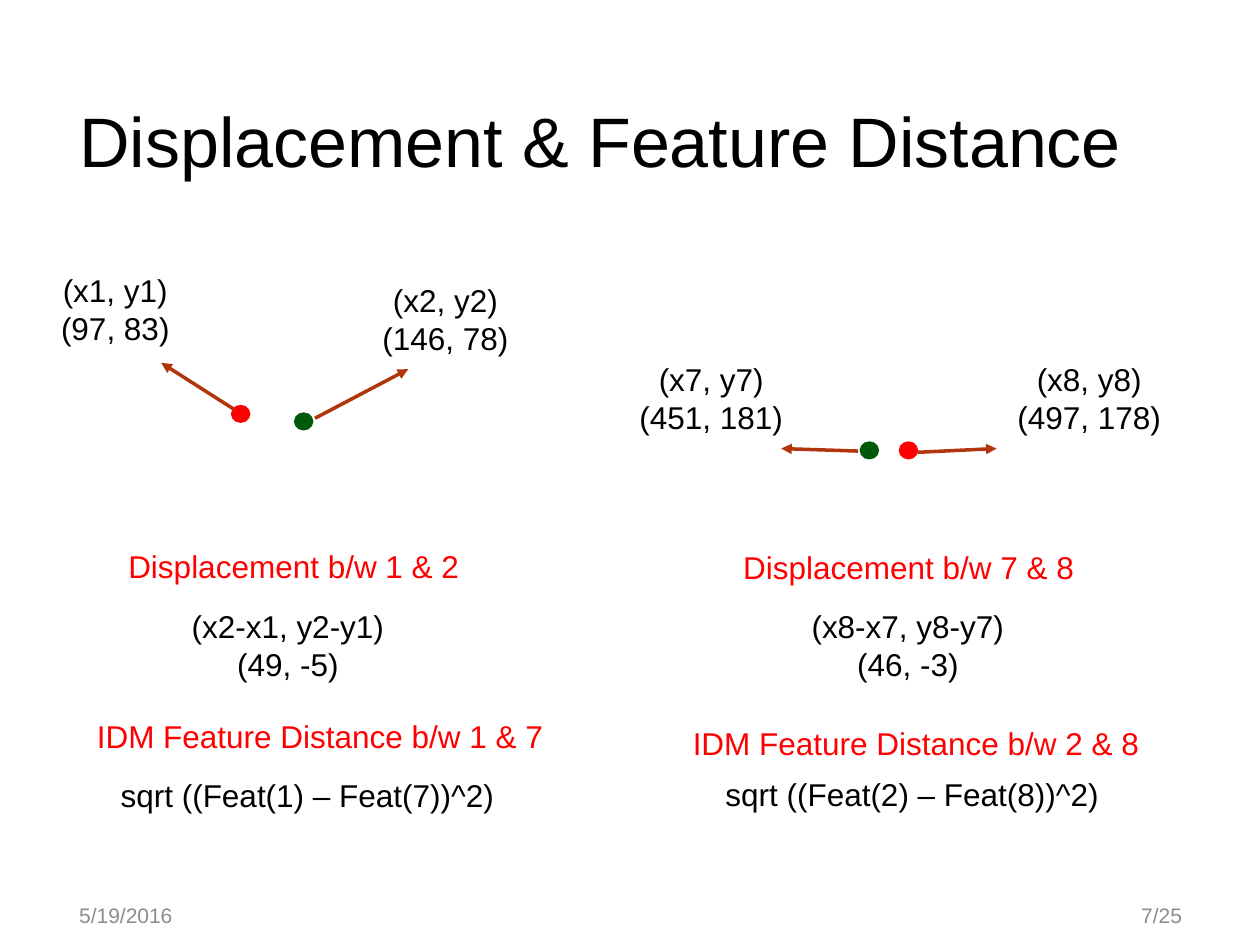
from lxml import etree
from pptx import Presentation
from pptx.dml.color import RGBColor
from pptx.enum.shapes import MSO_CONNECTOR, MSO_SHAPE
from pptx.enum.text import MSO_ANCHOR, MSO_AUTO_SIZE, PP_ALIGN
from pptx.oxml.ns import qn
from pptx.util import Pt

LEFT, CENTER, RIGHT = PP_ALIGN.LEFT, PP_ALIGN.CENTER, PP_ALIGN.RIGHT
TOP, MIDDLE, BOTTOM = MSO_ANCHOR.TOP, MSO_ANCHOR.MIDDLE, MSO_ANCHOR.BOTTOM
GROW, FIXED = MSO_AUTO_SIZE.SHAPE_TO_FIT_TEXT, MSO_AUTO_SIZE.NONE
ELLIPSE, STRAIGHT = MSO_SHAPE.OVAL, MSO_CONNECTOR.STRAIGHT

EMU_PER_PX = 9144
COLORS = {"black": "000000", "red": "FF0000", "green": "00580A",
          "arrow": "B1360B", "gray": "8C8C8C"}
ONE_LINE, TWO_LINES = 40, 71


def px(*lengths):
    """Turn px lengths into EMU."""
    return [length * EMU_PER_PX for length in lengths]


def color(name):
    """Look up a named colour."""
    return RGBColor.from_string(COLORS[name])


def add_text(slide, box, lines, size=18, ink="black", align=CENTER, **frame_format):
    """Write lines of text into a box."""
    frame = slide.shapes.add_textbox(*px(*box)).text_frame
    settings = {"word_wrap": True, "auto_size": GROW, "vertical_anchor": TOP}
    for name, value in {**settings, **frame_format}.items():
        setattr(frame, name, value)
    frame.text = "\n".join(lines)
    for paragraph in frame.paragraphs:
        paragraph.alignment = align
        for name, value in {"name": "Arial", "size": Pt(size)}.items():
            setattr(paragraph.font, name, value)
        paragraph.font.color.rgb = color(ink)


def add_point(slide, left, top, ink):
    """Draw one feature point."""
    point = slide.shapes.add_shape(ELLIPSE, *px(left, top, 14, 13))
    point.shadow.inherit = False
    point.fill.solid()
    point.fill.fore_color.rgb = color(ink)
    point.line.color.rgb = color(ink)
    point.line.width = Pt(1)


def add_arrow(slide, *ends):
    """Draw an arrow from a point towards its label."""
    arrow = slide.shapes.add_connector(STRAIGHT, *px(*ends))
    arrow.line.color.rgb = color("arrow")
    arrow.line.width = Pt(2)
    etree.SubElement(arrow.line._get_or_add_ln(), qn("a:tailEnd"), type="triangle")
    etree.SubElement(arrow._element.spPr, qn("a:effectLst"))


def add_point_pair(slide, origin, features):
    """Draw two feature points with their arrows and coordinate labels."""
    x, y = origin
    for feature in features:
        left, top = feature["point"]
        add_point(slide, x + left, y + top, feature["ink"])
    for feature in features:
        x1, y1, x2, y2 = feature["arrow"]
        add_arrow(slide, x + x1, y + y1, x + x2, y + y2)
        left, top, width = feature["label"]
        add_text(slide, (x + left, y + top, width, TWO_LINES), feature["lines"])


def add_distances(slide, origin, entries):
    """Write a column of red headings and the formulas below them."""
    x, y = origin
    for (left, top, width), lines, is_heading in entries:
        height = TWO_LINES if len(lines) == 2 else ONE_LINE
        style = {"ink": "red", "align": LEFT} if is_heading else {}
        add_text(slide, (x + left, y + top, width, height), lines, **style)


def add_title(slide, box):
    """Write the slide title."""
    add_text(slide, box, ["Displacement & Feature Distance"], 40, align=LEFT,
             auto_size=FIXED, vertical_anchor=BOTTOM, margin_bottom=px(10)[0])


def add_footer(slide, box):
    """Write the date and the page number at the two ends of the footer."""
    left, top, width, height = box
    field = 225
    for x, words, align in ((left, "5/19/2016", LEFT),
                            (left + width - field, "7/25", RIGHT)):
        add_text(slide, (x, top, field, height), [words], 12, "gray", align,
                 auto_size=FIXED, vertical_anchor=MIDDLE)


PAIR_1_2 = [
    {"point": (148, 112), "ink": "red", "arrow": (150, 115, 92, 78),
     "label": (0, 0, 111), "lines": ["(x1, y1)", "(97, 83)"]},
    {"point": (198, 118), "ink": "green", "arrow": (214, 122, 288, 83),
     "label": (251, 8, 133), "lines": ["(x2, y2)", "(146, 78)"]},
]
PAIR_7_8 = [
    {"point": (191, 70), "ink": "green", "arrow": (189, 77, 128, 75),
     "label": (0, 0, 145), "lines": ["(x7, y7)", "(451, 181)"]},
    {"point": (222, 70), "ink": "red", "arrow": (236, 78, 299, 75),
     "label": (300, 0, 145), "lines": ["(x8, y8)", "(497, 178)"]},
]
DISTANCES_LEFT = [
    ((25, 0, 290), ["Displacement b/w 1 & 2"], True),
    ((71, 48, 181), ["(x2-x1, y2-y1)", "(49, -5)"], False),
    ((0, 135, 377), ["IDM Feature Distance b/w 1 & 7"], True),
    ((0, 182, 354), ["sqrt ((Feat(1) – Feat(7))^2)"], False),
]
DISTANCES_RIGHT = [
    ((40, 0, 298), ["Displacement b/w 7 & 8"], True),
    ((86, 47, 189), ["(x8-x7, y8-y7)", "(46, -3)"], False),
    ((0, 140, 377), ["IDM Feature Distance b/w 2 & 8"], True),
    ((7, 180, 354), ["sqrt ((Feat(2) – Feat(8))^2)"], False),
]


def main():
    """Build the slide and save it."""
    deck = Presentation()
    deck.slide_width, deck.slide_height = px(1000, 750)
    slide = deck.slides.add_slide(deck.slide_layouts[6])
    add_title(slide, (53, 57, 899, 97))
    add_footer(slide, (53, 706, 895, 40))
    add_point_pair(slide, (36, 210), PAIR_1_2)
    add_point_pair(slide, (492, 281), PAIR_7_8)
    add_distances(slide, (67, 429), DISTANCES_LEFT)
    add_distances(slide, (540, 430), DISTANCES_RIGHT)
    deck.save("out.pptx")


if __name__ == "__main__":
    main()
